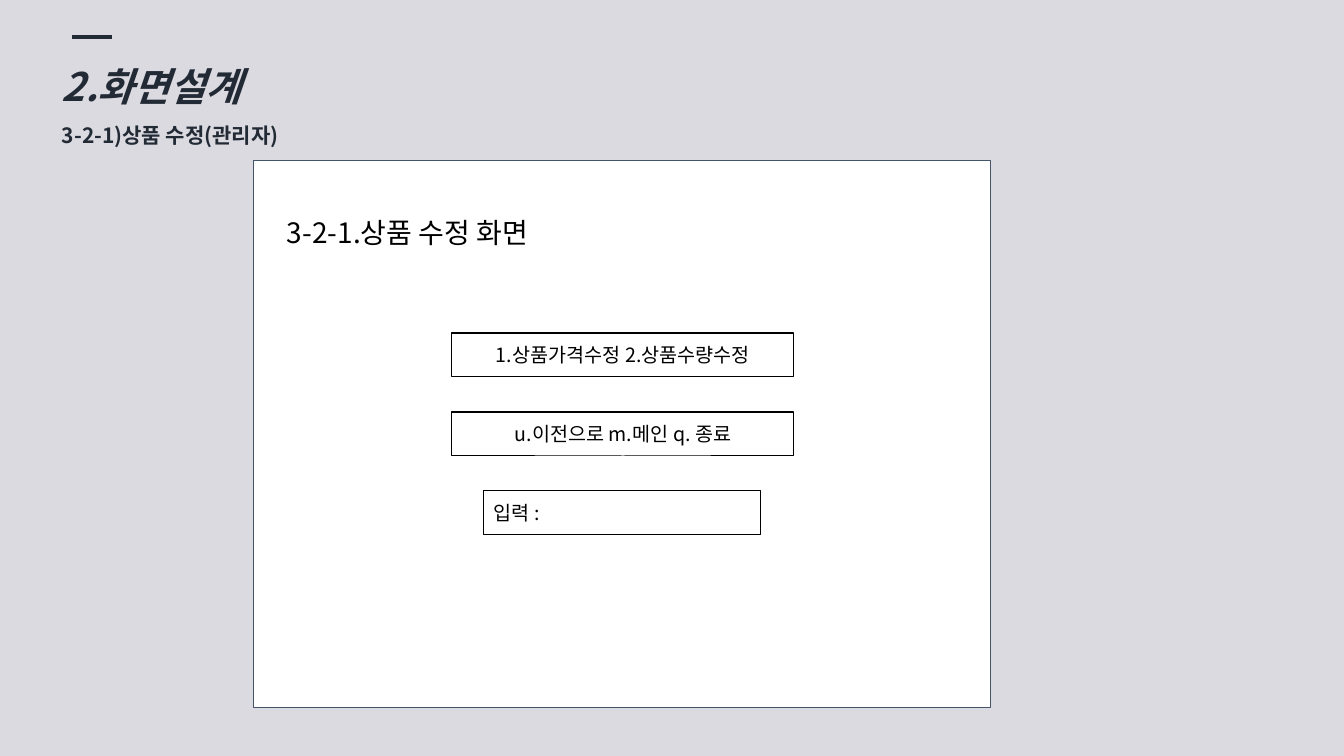
"""Build the product edit screen design slide."""
from lxml import etree
from pptx import Presentation
from pptx.dml.color import RGBColor
from pptx.enum.shapes import MSO_CONNECTOR, MSO_SHAPE
from pptx.enum.text import MSO_ANCHOR, PP_ALIGN
from pptx.oxml.ns import qn
from pptx.util import Emu, Pt

FONT = "Noto Sans CJK KR"
DARK, BLACK, WHITE = "222A35", "000000", "FFFFFF"
PITCH = 79


def px(n):
    return Emu(round(n * 914400 / 100.8))


def rgb(value):
    return RGBColor.from_string(value)


prs = Presentation()
prs.slide_width, prs.slide_height = px(1344), px(756)
s = prs.slides.add_slide(prs.slide_layouts[6])
s.background.fill.solid()
s.background.fill.fore_color.rgb = rgb("DBDAE0")

rule = s.shapes.add_connector(MSO_CONNECTOR.STRAIGHT, px(72), px(37), px(112), px(37))
rule.line.color.rgb = rgb(DARK)
rule.line.width = Pt(3)
etree.SubElement(rule._element.spPr, qn("a:effectLst"))

heading = {"size": Pt(28), "bold": True, "italic": True}
subheading = {"size": Pt(15), "bold": True}
label = {"size": Pt(14)}
left, center = PP_ALIGN.LEFT, PP_ALIGN.CENTER
top, middle = MSO_ANCHOR.TOP, MSO_ANCHOR.MIDDLE

items = [
    ((52, 34, 433, 115), None, None, DARK, 5, top, left, 1.5,
     [("2.화면설계", heading), ("3-2-1)상품 수정(관리자)", subheading)]),
    ((254, 161, 737, 547), WHITE, "44546A", BLACK, 8, middle, left, 1, []),
    ((277, 206, 454, 54), None, None, BLACK, 9, top, left, 1,
     [("3-2-1.상품 수정 화면", {"size": Pt(20)})]),
]
rows = [
    (452, 342, center, "1.상품가격수정 2.상품수량수정"),
    (452, 342, center, "u.이전으로 m.메인 q. 종료"),
    (484, 277, left, "입력 :"),
]
for i, (x, w, align, text) in enumerate(rows):
    items.append(((x, 333 + i * PITCH, w, 44), None, BLACK, BLACK, 7, middle,
                  align, 1, [(text, label)]))

for box, fill, line, color, inset, anchor, align, spacing, lines in items:
    area = [px(n) for n in box]
    if line:
        sp = s.shapes.add_shape(MSO_SHAPE.RECTANGLE, *area)
        sp.shadow.inherit = False
        sp.line.color.rgb = rgb(line)
        sp.line.width = Pt(0.75)
    else:
        sp = s.shapes.add_textbox(*area)
    if fill:
        sp.fill.solid()
        sp.fill.fore_color.rgb = rgb(fill)
    else:
        sp.fill.background()
    tf = sp.text_frame
    frame = {"word_wrap": True, "vertical_anchor": anchor,
             "margin_left": px(10), "margin_right": px(10),
             "margin_top": px(inset), "margin_bottom": px(inset)}
    for name, value in frame.items():
        setattr(tf, name, value)
    for i, (text, style) in enumerate(lines):
        p = tf.add_paragraph() if i else tf.paragraphs[0]
        p.alignment = align
        p.line_spacing = spacing
        r = p.add_run()
        r.text = text
        r.font.color.rgb = rgb(color)
        for name, value in {"name": FONT, **style}.items():
            setattr(r.font, name, value)
        ea = etree.SubElement(r.font._element, qn("a:ea"))
        ea.set("typeface", FONT)

prs.save("out.pptx")
